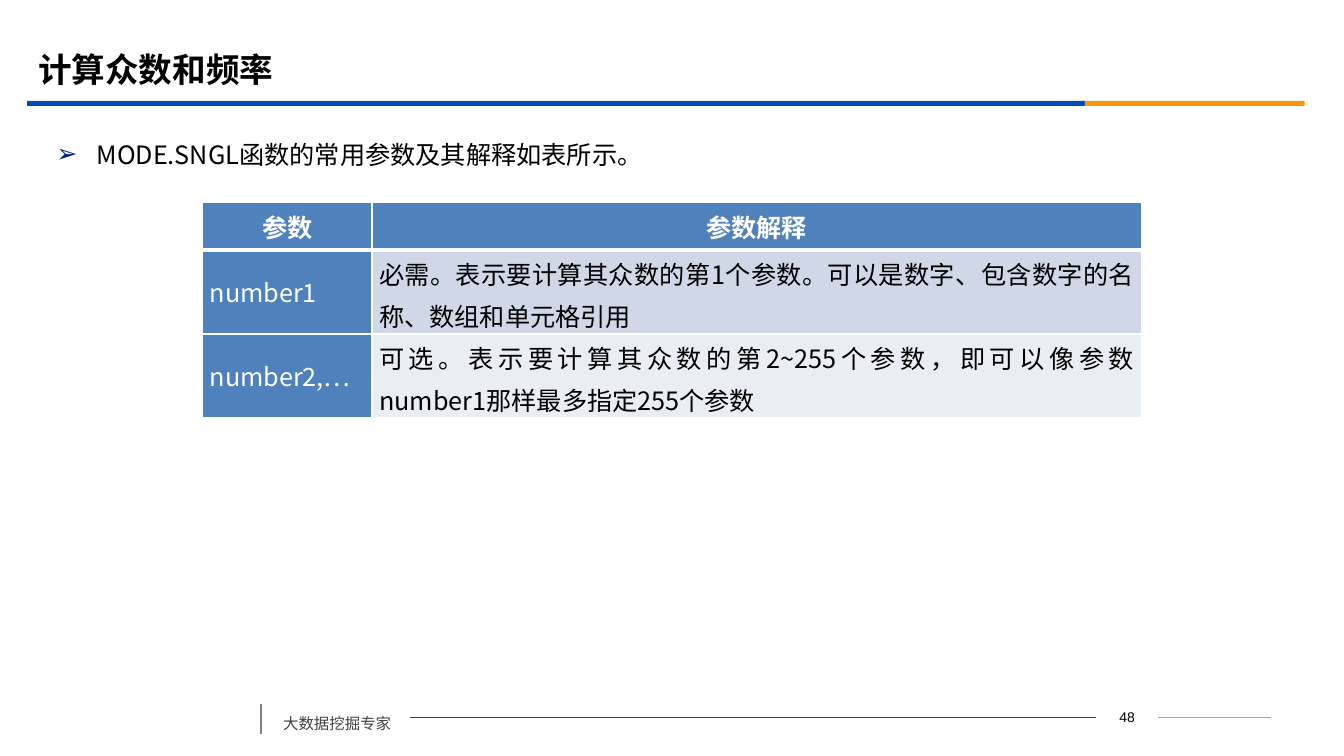
from lxml import etree
from pptx import Presentation
from pptx.dml.color import RGBColor
from pptx.enum.shapes import MSO_CONNECTOR, MSO_SHAPE
from pptx.enum.text import MSO_ANCHOR, PP_ALIGN
from pptx.oxml.ns import qn
from pptx.util import Inches, Pt

LEFT, CENTER, JUSTIFY = PP_ALIGN.LEFT, PP_ALIGN.CENTER, PP_ALIGN.JUSTIFY
TOP, MIDDLE = MSO_ANCHOR.TOP, MSO_ANCHOR.MIDDLE
RECTANGLE, STRAIGHT = MSO_SHAPE.RECTANGLE, MSO_CONNECTOR.STRAIGHT
CJK_FONT = "Noto Sans CJK SC"


def color(value):
    return RGBColor.from_string(value)


def write(paragraph, text, size, text_color, bold=False, name=CJK_FONT, **layout):
    for key, value in layout.items():
        setattr(paragraph, key, value)
    run = paragraph.add_run()
    run.text = text
    for key, value in {"size": Pt(size), "bold": bold, "name": name}.items():
        setattr(run.font, key, value)
    run.font.color.rgb = color(text_color)
    latin = run.font._element.find(qn("a:latin"))
    east_asian = etree.Element(qn("a:ea"), typeface=name)
    latin.addnext(east_asian)


presentation = Presentation()
presentation.slide_width = Inches(13.33)
presentation.slide_height = Inches(7.5)
slide = presentation.slides.add_slide(presentation.slide_layouts[6])

for left, width, fill in [(0.27, 10.49, "064BB2"), (10.76, 2.18, "FB9708")]:
    bar = slide.shapes.add_shape(RECTANGLE, Inches(left), Inches(1), Inches(width), Inches(0.05))
    bar.shadow.inherit = False
    bar.fill.solid()
    bar.fill.fore_color.rgb = color(fill)
    bar.line.fill.background()

footer_lines = [
    (11.49, 7.12, 12.61, 7.12, "A6A6A6", 0.75),
    (4.07, 7.12, 10.87, 7.12, "404040", 0.75),
    (2.59, 6.98, 2.59, 7.28, "808080", 1.25),
]
for left, top, right, bottom, line_color, width in footer_lines:
    line = slide.shapes.add_connector(STRAIGHT, Inches(left), Inches(top), Inches(right), Inches(bottom))
    line.line.color.rgb = color(line_color)
    line.line.width = Pt(width)
    etree.SubElement(line._element.spPr, qn("a:effectLst"))

texts = [
    ("计算众数和频率", 0.28, 0.39, 12, 0.58, MIDDLE,
     {"size": 24, "text_color": "000000", "bold": True}),
    ("大数据挖掘专家", 2.71, 6.94, 1.36, 0.38, TOP,
     {"size": 11, "text_color": "404040", "line_spacing": 1.5}),
    ("48", 10.87, 6.99, 0.62, 0.25, MIDDLE,
     {"size": 10, "text_color": "000000", "name": "Arial", "alignment": CENTER}),
    ("MODE.SNGL函数的常用参数及其解释如表所示。", 0.46, 1.18, 12.15, 5.5, TOP,
     {"size": 18, "text_color": "000000", "line_spacing": 1.5}),
]
for text, left, top, width, height, anchor, style in texts:
    box = slide.shapes.add_textbox(Inches(left), Inches(top), Inches(width), Inches(height))
    box.text_frame.word_wrap = True
    box.text_frame.vertical_anchor = anchor
    body_paragraph = box.text_frame.paragraphs[0]
    write(body_paragraph, text, **style)

properties = body_paragraph._p.get_or_add_pPr()
properties.set("marL", str(Inches(0.4)))
properties.set("indent", str(-Inches(0.4)))
bullet_color = etree.SubElement(properties, qn("a:buClr"))
etree.SubElement(bullet_color, qn("a:srgbClr"), val="032089")
etree.SubElement(properties, qn("a:buFont"), typeface="Arial")
etree.SubElement(properties, qn("a:buChar"), char="➢")

rows = [
    ("参数", "参数解释"),
    ("number1", "必需。表示要计算其众数的第1个参数。可以是数字、包含数字的名称、数组和单元格引用"),
    ("number2,…", "可选。表示要计算其众数的第2~255个参数，即可以像参数number1那样最多指定255个参数"),
]
description_fills = ["4F81BD", "D0D8E8", "E9EDF4"]
table = slide.shapes.add_table(3, 2, Inches(2.01), Inches(2.01), Inches(9.31), Inches(2.13)).table
for column, width in zip(table.columns, (1.68, 7.63)):
    column.width = Inches(width)
for row, height in zip(table.rows, (0.47, 0.83, 0.83)):
    row.height = Inches(height)

cell_format = {
    "vertical_anchor": MIDDLE,
    "margin_left": Inches(0.07),
    "margin_right": Inches(0.07),
    "margin_top": 0,
    "margin_bottom": 0,
}
for row_index, row_texts in enumerate(rows):
    header = row_index == 0
    for column_index, text in enumerate(row_texts):
        cell = table.cell(row_index, column_index)
        for key, value in cell_format.items():
            setattr(cell, key, value)
        description = column_index == 1 and not header
        cell.fill.solid()
        cell.fill.fore_color.rgb = color(description_fills[row_index] if description else "4F81BD")
        paragraph = cell.text_frame.paragraphs[0]
        write(paragraph, text, 18, "000000" if description else "FFFFFF", bold=header,
              alignment=CENTER if header else JUSTIFY,
              line_spacing=Pt(30) if description else None)
        cell_properties = cell._tc.get_or_add_tcPr()
        for position, side in enumerate(("lnL", "lnR", "lnT", "lnB")):
            thick = (row_index, side) in [(0, "lnB"), (1, "lnT")]
            border = etree.Element(qn(f"a:{side}"), w=str(Pt(3 if thick else 1)))
            border_fill = etree.SubElement(border, qn("a:solidFill"))
            etree.SubElement(border_fill, qn("a:srgbClr"), val="FFFFFF")
            cell_properties.insert(position, border)

presentation.save("out.pptx")
